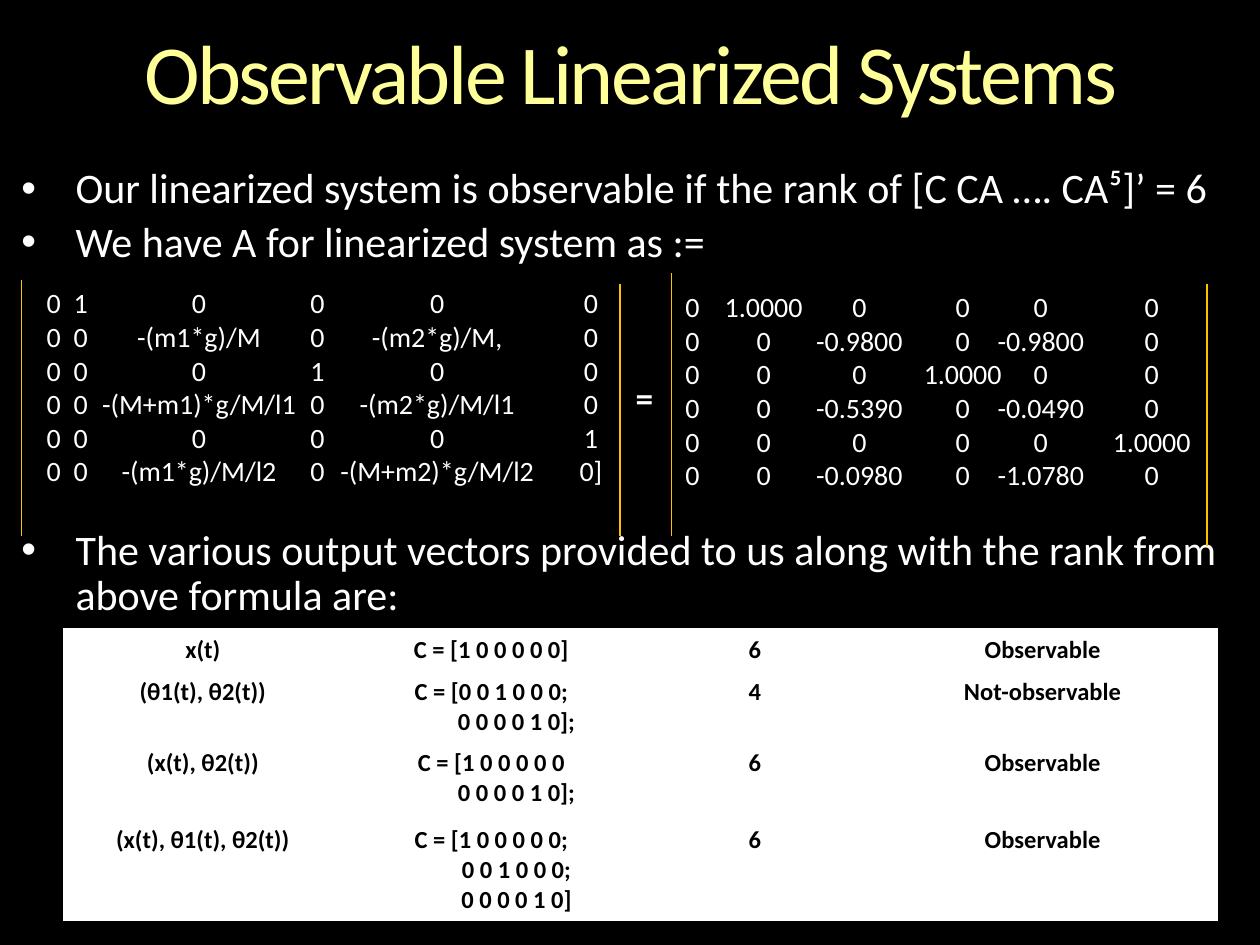
from pptx import Presentation
from pptx.dml.color import RGBColor
from pptx.enum.shapes import MSO_CONNECTOR as Connector
from pptx.enum.text import PP_ALIGN as Align
from pptx.oxml.ns import qn
from pptx.util import Inches, Pt
from lxml.etree import SubElement

BLACK = RGBColor(0x00, 0x00, 0x00)
WHITE = RGBColor(0xFF, 0xFF, 0xFF)
YELLOW = RGBColor(0xFF, 0xFF, 0x99)
AMBER = RGBColor(0xFF, 0xC0, 0x00)


def set_font(paragraph, color, **values):
    for name, value in {"name": "Calibri", **values}.items():
        setattr(paragraph.font, name, value)
    paragraph.font.color.rgb = color


def add_frame(left, top, width, height, **values):
    shape = slide.shapes.add_textbox(Inches(left), Inches(top), Inches(width), Inches(height))
    for name, value in {"word_wrap": True, **values}.items():
        setattr(shape.text_frame, name, value)
    return shape.text_frame


presentation = Presentation()
presentation.slide_width, presentation.slide_height = Inches(10), Inches(7.5)
slide = presentation.slides.add_slide(presentation.slide_layouts[6])
slide.background.fill.solid()
slide.background.fill.fore_color.rgb = BLACK
no_margins = {"margin_" + side: 0 for side in ("left", "top", "right", "bottom")}

# Title
paragraph = add_frame(0.42, 0.25, 9.17, 0.73, **no_margins).paragraphs[0]
paragraph.text = "Observable Linearized Systems"
paragraph.alignment = Align.CENTER
paragraph.line_spacing = 0.9
set_font(paragraph, YELLOW, size=Pt(48))
paragraph.runs[0].font._element.set("spc", "-150")

# Bullets, with room for the matrices before the last one
bullets = [
    ("Our linearized system is observable if the rank of [C CA …. CA⁵]’ = 6", 0),
    ("We have A for linearized system as :=", 4.8),
    ("The various output vectors provided to us along with the rank from above formula are:", 150),
]
frame = add_frame(0.17, 1.33, 9.67, 3.73, **no_margins)
for index, (text, space) in enumerate(bullets):
    paragraph = frame.add_paragraph() if index else frame.paragraphs[0]
    paragraph.text = text
    paragraph.line_spacing = 0.9
    paragraph.space_before = Pt(space)
    properties = paragraph._p.get_or_add_pPr()
    properties.set("marL", str(Inches(0.43)))
    properties.set("indent", str(-Inches(0.43)))
    SubElement(properties, qn("a:buFont"), typeface="Arial")
    SubElement(properties, qn("a:buChar"), char="•")
    set_font(paragraph, WHITE, size=Pt(24))

# Symbolic and numeric matrices, columns centred on tab stops
symbolic = [
    ["0", "1", "0", "0", "0", "0"],
    ["0", "0", "-(m1*g)/M", "0", "-(m2*g)/M,", "0"],
    ["0", "0", "0", "1", "0", "0"],
    ["0", "0", "-(M+m1)*g/M/l1", "0", "-(m2*g)/M/l1", "0"],
    ["0", "0", "0", "0", "0", "1"],
    ["0", "0", "-(m1*g)/M/l2", "0", "-(M+m2)*g/M/l2", "0]"],
]
numeric = [
    ["0", "1.0000", "0", "0", "0", "0"],
    ["0", "0", "-0.9800", "0", "-0.9800", "0"],
    ["0", "0", "0", "1.0000", "0", "0"],
    ["0", "0", "-0.5390", "0", "-0.0490", "0"],
    ["0", "0", "0", "0", "0", "1.0000"],
    ["0", "0", "-0.0980", "0", "-1.0780", "0"],
]
matrices = [
    (numeric, (4.5, 2.25, 5.92, 1.72), 0.94, (0.62, 1.38, 2.2, 2.82, 3.7)),
    (symbolic, (0.02, 2.22, 5.06, 1.72), 0.35, (0.27, 1.21, 2.15, 3.1, 4.32)),
]
for rows, box, margin, stops in matrices:
    frame = add_frame(*box, margin_left=Inches(margin))
    for index, row in enumerate(rows):
        paragraph = frame.add_paragraph() if index else frame.paragraphs[0]
        paragraph.text = "\t".join(row)
        tabs = SubElement(paragraph._p.get_or_add_pPr(), qn("a:tabLst"))
        for stop in stops:
            SubElement(tabs, qn("a:tab"), pos=str(Inches(stop)), algn="ctr")
        set_font(paragraph, WHITE, size=Pt(16))

# Equals sign between the matrices
paragraph = add_frame(4.92, 2.9, 0.4, 0.77, word_wrap=False).paragraphs[0]
paragraph.text = "⁼"
set_font(paragraph, WHITE, size=Pt(40))

# Matrix side bars
for x, top, bottom in [(5.33, 2.17, 4.25), (9.58, 2.25, 4.33), (4.92, 2.25, 4.25), (0.17, 2.22, 4.25)]:
    bar = slide.shapes.add_connector(
        Connector.STRAIGHT, Inches(x), Inches(top), Inches(x), Inches(bottom))
    bar.line.color.rgb = AMBER
    bar.line.width = Pt(0.75)
    SubElement(bar._element.spPr, qn("a:effectLst"))

# Output vectors and their ranks
outputs = [
    ("x(t)", "C = [1 0 0 0 0 0]", "6", "Observable"),
    ("(θ1(t), θ2(t))", "C = [0 0 1 0 0 0;\n0 0 0 0 1 0];", "4", "Not-observable"),
    ("(x(t), θ2(t))", "C = [1 0 0 0 0 0\n0 0 0 0 1 0];", "6", "Observable"),
    ("(x(t), θ1(t), θ2(t))", "C = [1 0 0 0 0 0;\n0 0 1 0 0 0;\n0 0 0 0 1 0]", "6", "Observable"),
]
table = slide.shapes.add_table(
    4, 4, Inches(0.51), Inches(4.99), Inches(9.15), Inches(2.3)).table
for column, width in zip(table.columns, (2.2, 2.38, 1.8, 2.77)):
    column.width = Inches(width)
for row, height, texts in zip(table.rows, (0.33, 0.56, 0.61, 0.8), outputs):
    row.height = Inches(height)
    for cell, text in zip(row.cells, texts):
        cell.fill.solid()
        cell.fill.fore_color.rgb = WHITE
        cell.text_frame.text = text
        for index, paragraph in enumerate(cell.text_frame.paragraphs):
            paragraph.alignment = Align.CENTER
            if index:
                paragraph._p.get_or_add_pPr().set("marL", str(Inches(0.4)))
            set_font(paragraph, BLACK, size=Pt(14), bold=True)

presentation.save("out.pptx")
